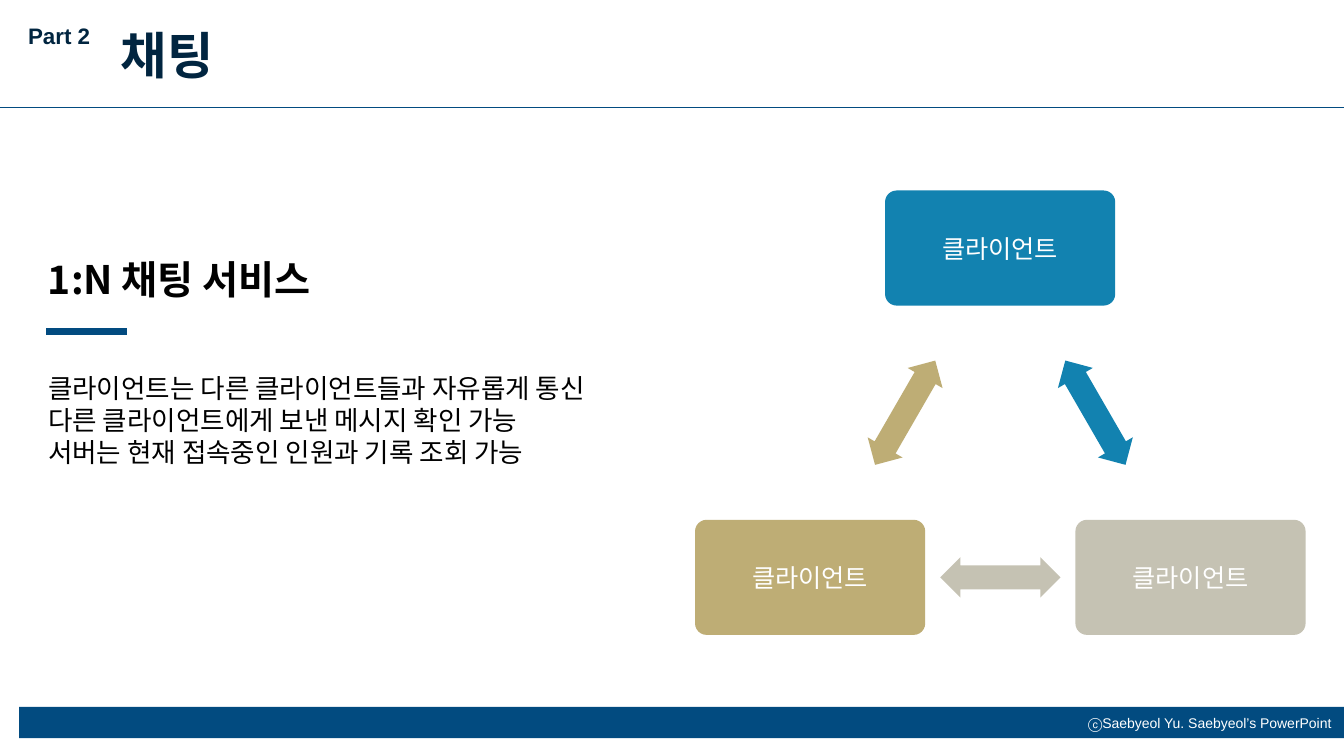
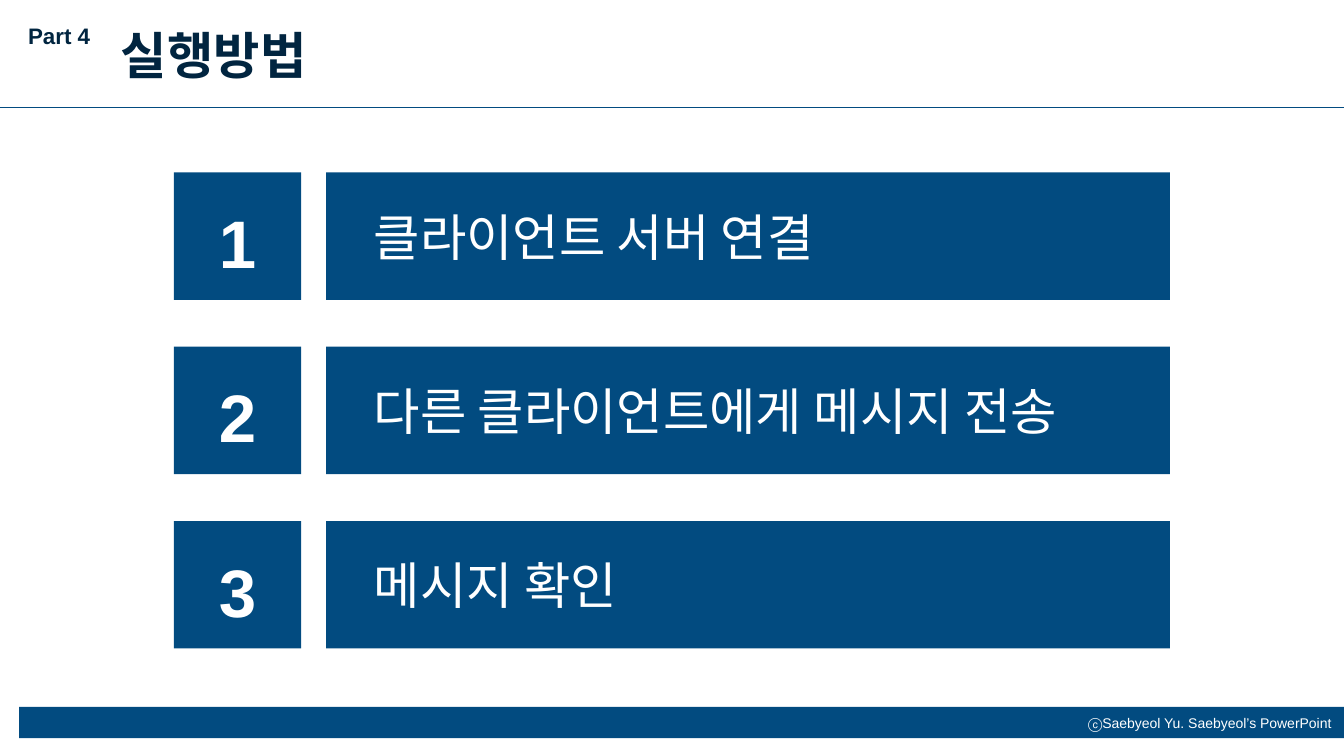
from dataclasses import dataclass

import pptx
import pptx.dml.color
import pptx.enum.shapes
import pptx.enum.text
import pptx.oxml.ns
import pptx.util

Pt = pptx.util.Pt
RGB = pptx.dml.color.RGBColor.from_string
SHAPE = pptx.enum.shapes.MSO_SHAPE
STRAIGHT = pptx.enum.shapes.MSO_CONNECTOR.STRAIGHT
ALIGN = pptx.enum.text.PP_ALIGN
qn = pptx.oxml.ns.qn


@dataclass(frozen=True)
class Theme:
    navy: str = "024B80"
    ink: str = "012540"
    black: str = "000000"
    white: str = "FFFFFF"
    blue: str = "1282B0"
    stone: str = "C5C2B3"
    gold: str = "BEAD75"
    latin: str = "Arial"
    korean: str = "Noto Sans CJK KR"
    footer_size: int = 10
    chapter_size: int = 16
    client_size: int = 18
    body_size: int = 19
    heading_size: int = 28
    title_size: int = 36
    number_size: int = 48


theme = Theme()


def write(frame, text, size, color, font=theme.latin, bold=False,
          align=ALIGN.LEFT, spacing=None):
    """Fill a text frame, one paragraph per line, without bullets."""
    frame.text = text
    frame.word_wrap = True
    frame.auto_size = pptx.enum.text.MSO_AUTO_SIZE.NONE
    frame.vertical_anchor = pptx.enum.text.MSO_ANCHOR.MIDDLE
    for paragraph in frame.paragraphs:
        paragraph.alignment = align
        paragraph.space_before = Pt(0)
        if spacing:
            paragraph.line_spacing = Pt(spacing)
        properties = paragraph._p.get_or_add_pPr()
        properties.set("marL", "0")
        properties.set("indent", "0")
        properties.append(properties.makeelement(qn("a:buNone"), {}))
        paragraph.font.size = Pt(size)
        paragraph.font.bold = bold
        paragraph.font.color.rgb = RGB(color)
        paragraph.font.name = font
        defaults = properties.find(qn("a:defRPr"))
        defaults.append(defaults.makeelement(qn("a:ea"), {"typeface": theme.korean}))


def draw(slide, kind, box, color, weight=None):
    """Draw a filled shape in box, or a line from point to point if weight is given."""
    lengths = [Pt(value) for value in box]
    if weight:
        line = slide.shapes.add_connector(STRAIGHT, *lengths)
        line.line.color.rgb = RGB(color)
        line.line.width = Pt(weight)
        properties = line.element.spPr
        properties.append(properties.makeelement(qn("a:effectLst"), {}))
        return line
    shape = slide.shapes.add_shape(kind, *lengths)
    shape.shadow.inherit = False
    shape.fill.solid()
    shape.fill.fore_color.rgb = RGB(color)
    shape.line.fill.background()
    return shape


deck = pptx.Presentation()
deck.slide_width, deck.slide_height = Pt(960), Pt(540)
chat = deck.slides.add_slide(deck.slide_layouts[1])
steps = deck.slides.add_slide(deck.slide_layouts[5])

# Footer band and header rule, moved to the master
footer = draw(chat, SHAPE.RECTANGLE, (13.7, 504.9, 946.3, 22.3), theme.navy)
write(footer.text_frame, "ⓒSaebyeol Yu. Saebyeol’s PowerPoint",
      theme.footer_size, theme.white, align=ALIGN.RIGHT)
footer.text_frame.margin_right = Pt(9)
rule = draw(chat, None, (0, 76.8, 960, 76.8), theme.navy, weight=0.5)
for shape_id, shared in enumerate((footer, rule), start=20):
    shared.element.xpath(".//p:cNvPr")[0].set("id", str(shape_id))
    deck.slide_master.shapes.element.append(shared.element)

# Header of each slide
for slide, chapter, topic in ((chat, "Part 2", "채팅"), (steps, "Part 4", "실행방법")):
    label = slide.shapes.add_textbox(Pt(13), Pt(12.3), Pt(66), Pt(26.6))
    write(label.text_frame, chapter, theme.chapter_size, theme.ink, bold=True)
    title = slide.shapes.title
    title.left, title.top, title.width, title.height = Pt(79.2), Pt(13.7), Pt(297), Pt(50.4)
    write(title.text_frame, topic, theme.title_size, theme.ink, theme.korean, bold=True)

# Chat service: description
heading = chat.shapes.add_textbox(Pt(27.2), Pt(178.6), Pt(283), Pt(41))
write(heading.text_frame, "1:N 채팅 서비스", theme.heading_size, theme.black,
      theme.korean, bold=True)
draw(chat, None, (33, 236.9, 90.7, 236.9), theme.navy, weight=4.5)
description = chat.placeholders[1]
description.left, description.top = Pt(27.2), Pt(260.6)
description.width, description.height = Pt(436.3), Pt(78)
write(description.text_frame,
      "클라이언트는 다른 클라이언트들과 자유롭게 통신\n"
      "다른 클라이언트에게 보낸 메시지 확인 가능\n"
      "서버는 현재 접속중인 인원과 기록 조회 가능",
      theme.body_size, theme.black, align=ALIGN.JUSTIFY, spacing=22.9)

# Chat service: each client and the arrow to the next one
client_width, client_height = 164.4, 82.2
arrow_width, arrow_height = 86, 28.8
clients = [(714.4, 177.2, theme.blue, 60),
           (850.4, 412.4, theme.stone, 180),
           (578.7, 412.4, theme.gold, 300)]
for index, (x, y, color, angle) in enumerate(clients):
    client = draw(chat, SHAPE.ROUNDED_RECTANGLE,
                  (x - client_width / 2, y - client_height / 2,
                   client_width, client_height), color)
    client.adjustments[0] = 0.1
    write(client.text_frame, "클라이언트", theme.client_size, theme.white,
          align=ALIGN.CENTER)
    next_x, next_y = clients[(index + 1) % len(clients)][:2]
    arrow = draw(chat, SHAPE.LEFT_RIGHT_ARROW,
                 ((x + next_x - arrow_width) / 2, (y + next_y - arrow_height) / 2,
                  arrow_width, arrow_height), color)
    arrow.adjustments[0], arrow.adjustments[1] = 0.6, 0.5
    arrow.rotation = angle

# How to run: numbered steps
step_top, step_pitch, step_height = 123.2, 124.5, 91
for index, action in enumerate(("클라이언트 서버 연결",
                                "다른 클라이언트에게 메시지 전송",
                                "메시지 확인")):
    top = step_top + index * step_pitch
    number = draw(steps, SHAPE.RECTANGLE, (124.2, top, step_height, step_height), theme.navy)
    write(number.text_frame, str(index + 1), theme.number_size, theme.white,
          bold=True, align=ALIGN.CENTER)
    number.text_frame.margin_top, number.text_frame.margin_bottom = Pt(8), Pt(0)
    bar = draw(steps, SHAPE.RECTANGLE, (233, top, 602.7, step_height), theme.navy)
    write(bar.text_frame, action, theme.title_size, theme.white, theme.korean)
    bar.text_frame.margin_left = Pt(34)

deck.save("out.pptx")
